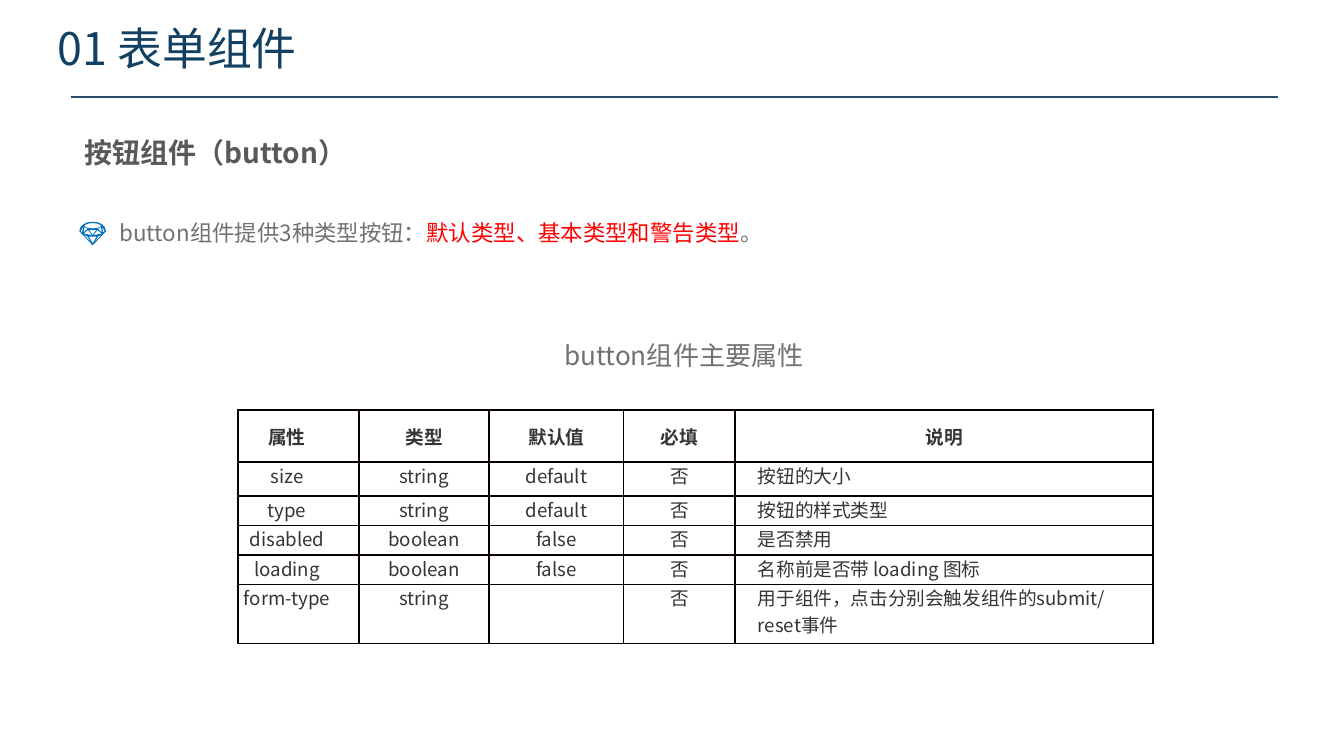
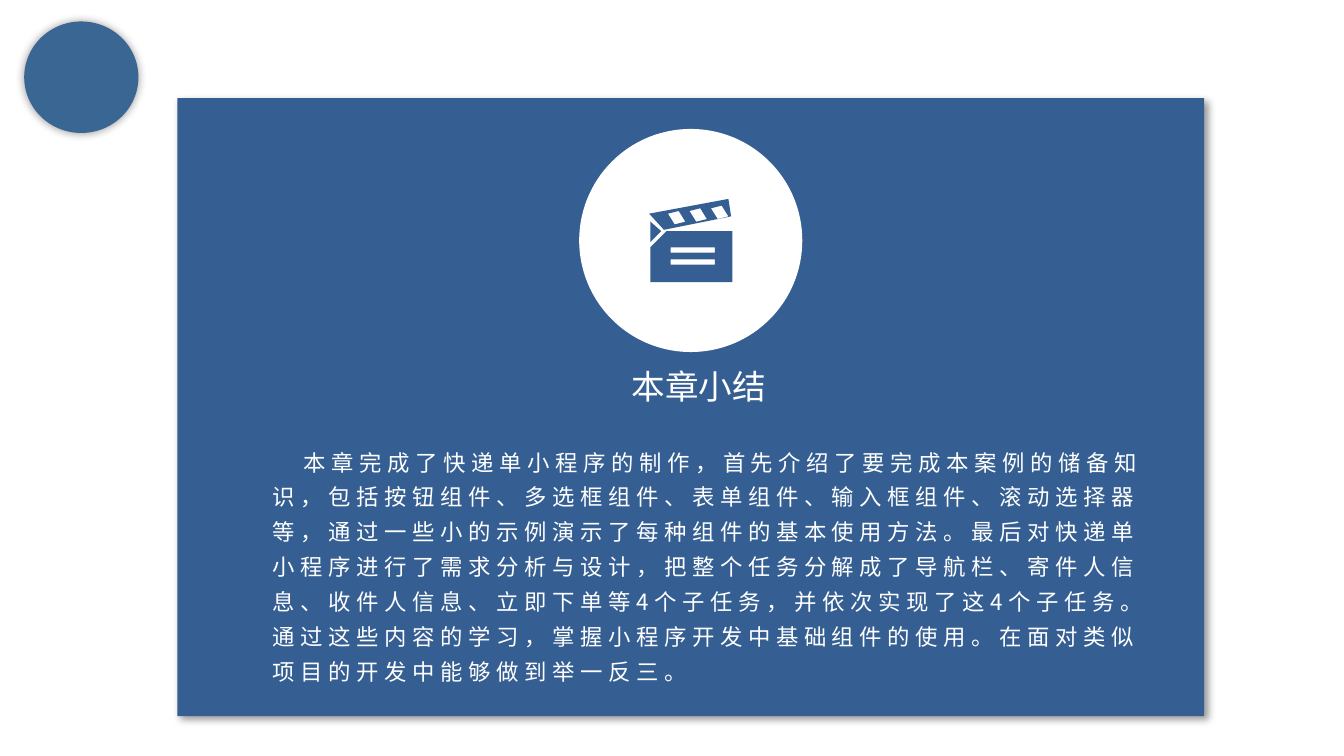
from lxml.etree import SubElement
from pptx import Presentation
from pptx.dml.color import RGBColor
from pptx.enum.shapes import MSO_CONNECTOR, MSO_SHAPE
from pptx.enum.text import MSO_ANCHOR, PP_ALIGN
from pptx.oxml.ns import qn
from pptx.util import Pt

EMU_PER_PX = 9144
SLIDE_WIDTH = 1000
FONT = "Noto Sans CJK SC"
COLORS = {
    "title": "124062", "rule": "2A4B6C", "heading": "595959", "body": "727171",
    "accent": "FF0000", "gem": "0070C0", "cell": "353535", "border": "080000",
    "panel": "355F93", "badge": "396692", "white": "FFFFFF", "shadow": "000000",
}
TITLE_STYLE = {"size": Pt(24), "bold": False}
HEADING_STYLE = {"size": Pt(15), "bold": True}
CAPTION_STYLE = {"size": Pt(14), "bold": False}
BODY_STYLE = {"size": Pt(12), "bold": False}
SUMMARY_TITLE_STYLE = {"size": Pt(18), "bold": False}
HEADER_CELL_STYLE = {"size": Pt(10), "bold": True}
CELL_STYLE = {"size": Pt(10), "bold": False}

COLUMN_WIDTHS = [90, 97, 100, 83, 311]
ROW_HEIGHTS = [39, 25, 22, 22, 22, 44]
ATTRIBUTES = [
    ["属性", "类型", "默认值", "必填", "说明"],
    ["size", "string", "default", "否", "按钮的大小"],
    ["type", "string", "default", "否", "按钮的样式类型"],
    ["disabled", "boolean", "false", "否", "是否禁用"],
    ["loading", "boolean", "false", "否", "名称前是否带 loading 图标"],
    ["form-type", "string", "", "否", "用于组件，点击分别会触发组件的submit/reset事件"],
]
SUMMARY = (
    "本章完成了快递单小程序的制作，首先介绍了要完成本案例的储备知识，"
    "包括按钮组件、多选框组件、表单组件、输入框组件、滚动选择器等，"
    "通过一些小的示例演示了每种组件的基本使用方法。"
    "最后对快递单小程序进行了需求分析与设计，把整个任务分解成了导航栏、寄件人信息、"
    "收件人信息、立即下单等4个子任务，并依次实现了这4个子任务。"
    "通过这些内容的学习，掌握小程序开发中基础组件的使用。"
    "在面对类似项目的开发中能够做到举一反三。"
)


def px(length):
    """Turn px into EMU."""
    return round(length * EMU_PER_PX)


def emu_box(box):
    """Turn a box of px into EMU."""
    return [px(length) for length in box]


def color(name):
    """Look up a palette colour."""
    return RGBColor.from_string(COLORS[name])


def set_attributes(target, values):
    """Set each attribute in a dict of format values."""
    for name, value in values.items():
        setattr(target, name, value)


def add_run(paragraph, text, style, color_name):
    """Add a formatted run in the shared font."""
    run = paragraph.add_run()
    run.text = text
    set_attributes(run.font, {**style, "name": FONT})
    run.font.color.rgb = color(color_name)
    SubElement(run.font._element, qn("a:ea"), typeface=FONT)


def set_margins(target, left, top, right, bottom):
    """Set the inner margins of a text frame or cell in px."""
    set_attributes(target, {
        "margin_left": px(left), "margin_top": px(top),
        "margin_right": px(right), "margin_bottom": px(bottom),
    })


def add_text(slide, box, pieces, style, margins=(10, 5, 10, 5), line_spacing=1.0):
    """Add a wrapped text box of coloured pieces and return its paragraph."""
    frame = slide.shapes.add_textbox(*emu_box(box)).text_frame
    frame.word_wrap = True
    set_margins(frame, *margins)
    paragraph = frame.paragraphs[0]
    paragraph.line_spacing = line_spacing
    for text, color_name in pieces:
        add_run(paragraph, text, style, color_name)
    return paragraph


def place_title(slide, box, text, style, color_name, margins, anchor, line_spacing):
    """Move the title placeholder to the box, in front, and fill it."""
    title = slide.shapes.title
    left, top, width, height = emu_box(box)
    set_attributes(title, {"left": left, "top": top, "width": width, "height": height})
    frame = title.text_frame
    set_attributes(frame, {"word_wrap": True, "vertical_anchor": anchor})
    set_margins(frame, *margins)
    paragraph = frame.paragraphs[0]
    set_attributes(paragraph, {"alignment": PP_ALIGN.LEFT, "line_spacing": line_spacing})
    add_run(paragraph, text, style, color_name)
    title.element.getparent().append(title.element)


def paint(shape, color_name):
    """Give a shape a flat fill without line or shadow."""
    shape.shadow.inherit = False
    shape.fill.solid()
    shape.fill.fore_color.rgb = color(color_name)
    shape.line.fill.background()


def add_block(slide, kind, box, color_name):
    """Add a flat preset shape."""
    shape = slide.shapes.add_shape(kind, *emu_box(box))
    paint(shape, color_name)
    return shape


def cast_shadow(shape, blur, distance, degrees):
    """Add a soft outer shadow, with blur and distance in points."""
    effects = shape.element.spPr.find(qn("a:effectLst"))
    shadow = SubElement(
        effects, qn("a:outerShdw"), blurRad=str(Pt(blur)), dist=str(Pt(distance)),
        dir=str(degrees * 60000), algn="ctr", rotWithShape="0")
    tint = SubElement(shadow, qn("a:srgbClr"), val=COLORS["shadow"])
    SubElement(tint, qn("a:alpha"), val="40000")


def add_outline(slide, origin, contours, color_name, units_per_px=1):
    """Draw closed contours as one shape, inner ones being holes."""
    builder = slide.shapes.build_freeform(
        *contours[0][0], scale=EMU_PER_PX / units_per_px)
    for index, contour in enumerate(contours):
        if index:
            builder.move_to(*contour[0])
        builder.add_line_segments(contour[1:], close=True)
    paint(builder.convert_to_shape(*emu_box(origin)), color_name)


def add_gem(slide, left, top):
    """Draw the faceted gem bullet, its side facets mirrored."""
    middle = [
        [(0, 70), (10, 40), (30, 20), (60, 5), (100, 0), (140, 5), (170, 20),
         (190, 40), (200, 70), (100, 175)],
        [(40, 25), (70, 13), (100, 10), (130, 13), (160, 25), (160, 35),
         (145, 44), (100, 50), (55, 44), (40, 35)],
        [(72, 60), (128, 60), (100, 98)],
        [(70, 110), (130, 110), (100, 160)],
    ]
    side = [
        [(33, 32), (12, 68), (20, 82)],
        [(38, 40), (62, 52), (32, 80)],
        [(65, 62), (95, 100), (32, 88)],
        [(30, 93), (60, 110), (88, 155)],
    ]
    mirrored = [[(200 - x, y) for x, y in facet] for facet in side]
    add_outline(slide, (left, top), middle + side + mirrored, "gem", units_per_px=10)


def add_clapperboard(slide, left, top):
    """Draw the clapperboard with its stripes and text bars cut out."""
    solids = [
        [(59, 0), (61, 13), (11, 23), (0, 11)],
        [(1, 17), (9, 24), (1, 32)],
        [(13, 24), (62, 24), (62, 62), (1, 62), (1, 36)],
    ]
    stripes = [
        [(x + 16 * step, y - 2 * step) for x, y in [(22, 9), (14, 11), (19, 19), (27, 17)]]
        for step in range(3)
    ]
    bars = [[(16, y), (49, y), (49, y + 4), (16, y + 4)] for y in (36, 45)]
    add_outline(slide, (left, top), solids + stripes + bars, "panel")


def add_rule(slide, left, top, width):
    """Draw the line under the title."""
    rule = slide.shapes.add_connector(
        MSO_CONNECTOR.STRAIGHT, *emu_box((left, top, left + width, top)))
    rule.line.width = Pt(1.25)
    rule.line.color.rgb = color("rule")
    SubElement(rule._element.spPr, qn("a:effectLst"))


def border_cell(cell):
    """Give a cell four thin borders and no fill."""
    properties = cell._tc.get_or_add_tcPr()
    for side in ("lnL", "lnR", "lnT", "lnB"):
        line = SubElement(properties, qn("a:" + side), w=str(Pt(1)))
        fill = SubElement(line, qn("a:solidFill"))
        SubElement(fill, qn("a:srgbClr"), val=COLORS["border"])
    cell.fill.background()


def add_attribute_table(slide, box):
    """Add the table of button attributes."""
    table = slide.shapes.add_table(
        len(ROW_HEIGHTS), len(COLUMN_WIDTHS), *emu_box(box)).table
    set_attributes(table, {"first_row": False, "horz_banding": False})
    for column, width in zip(table.columns, COLUMN_WIDTHS):
        column.width = px(width)
    for row, height in zip(table.rows, ROW_HEIGHTS):
        row.height = px(height)
    for row_index, texts in enumerate(ATTRIBUTES):
        header = row_index == 0
        for column_index, text in enumerate(texts):
            cell = table.cell(row_index, column_index)
            border_cell(cell)
            padding = 8 if header else 0
            set_margins(cell, 17 if column_index else 0, padding, 17, padding)
            cell.vertical_anchor = MSO_ANCHOR.MIDDLE if header else MSO_ANCHOR.TOP
            paragraph = cell.text_frame.paragraphs[0]
            description = column_index == len(texts) - 1 and not header
            paragraph.alignment = PP_ALIGN.LEFT if description else PP_ALIGN.CENTER
            add_run(paragraph, text, HEADER_CELL_STYLE if header else CELL_STYLE, "cell")


def add_gem_point(slide, left, top, width):
    """Add the point on button types behind its gem."""
    add_gem(slide, left, top + 11)
    pieces = [("button组件提供3种类型按钮：", "body"),
              ("默认类型、基本类型和警告类型", "accent"), ("。", "body")]
    add_text(slide, (left + 20, top, width - 20, 34), pieces, BODY_STYLE, line_spacing=1.2)


def build_component_slide(slide):
    """Build the slide on the button component."""
    place_title(slide, (33, 15, 862, 46), "01 表单组件", TITLE_STYLE, "title",
                (10, 5, 10, 5), MSO_ANCHOR.MIDDLE, 0.9)
    add_rule(slide, 53, 72, 898)
    add_text(slide, (56, 97, 263, 33), [("按钮组件（button）", "heading")],
             HEADING_STYLE, margins=(7, 4, 7, 4))
    add_gem_point(slide, 59, 154, 896)
    add_text(slide, (410, 248, 214, 34), [("button组件主要属性", "body")], CAPTION_STYLE)
    add_attribute_table(slide, (177, 305, sum(COLUMN_WIDTHS), sum(ROW_HEIGHTS)))


def add_summary_panel(slide, left, top, width, height):
    """Add the blue panel with its icon, title and summary."""
    panel = add_block(slide, MSO_SHAPE.RECTANGLE, (left, top, width, height), "panel")
    cast_shadow(panel, 4, 3, 45)
    diameter = 166
    circle_left, circle_top = left + (width - diameter) // 2, top + 23
    add_block(slide, MSO_SHAPE.OVAL, (circle_left, circle_top, diameter, diameter), "white")
    add_clapperboard(slide, circle_left + 52, circle_top + 52)
    place_title(slide, (left + 328, top + 199, 132, 41), "本章小结", SUMMARY_TITLE_STYLE,
                "white", (10, 0, 10, 0), MSO_ANCHOR.TOP, 1.0)
    paragraph = add_text(slide, (left + 61, top + 250, 677, 194), [(SUMMARY, "white")],
                         BODY_STYLE, line_spacing=1.3)
    paragraph.space_before = Pt(8)
    paragraph._p.get_or_add_pPr().set("indent", str(px(23)))
    paragraph.runs[0].font._element.set("spc", "300")


def build_summary_slide(slide):
    """Build the chapter summary slide."""
    add_summary_panel(slide, 132, 73, 764, 460)
    badge = add_block(slide, MSO_SHAPE.OVAL, (18, 16, 85, 83), "badge")
    cast_shadow(badge, 5, 0, 0)


def main():
    """Build and save the presentation."""
    presentation = Presentation()
    presentation.slide_width = px(SLIDE_WIDTH)
    presentation.slide_height = px(SLIDE_WIDTH) * 9 // 16
    title_only = presentation.slide_layouts[5]
    for build in (build_component_slide, build_summary_slide):
        build(presentation.slides.add_slide(title_only))
    presentation.save("out.pptx")


if __name__ == "__main__":
    main()
